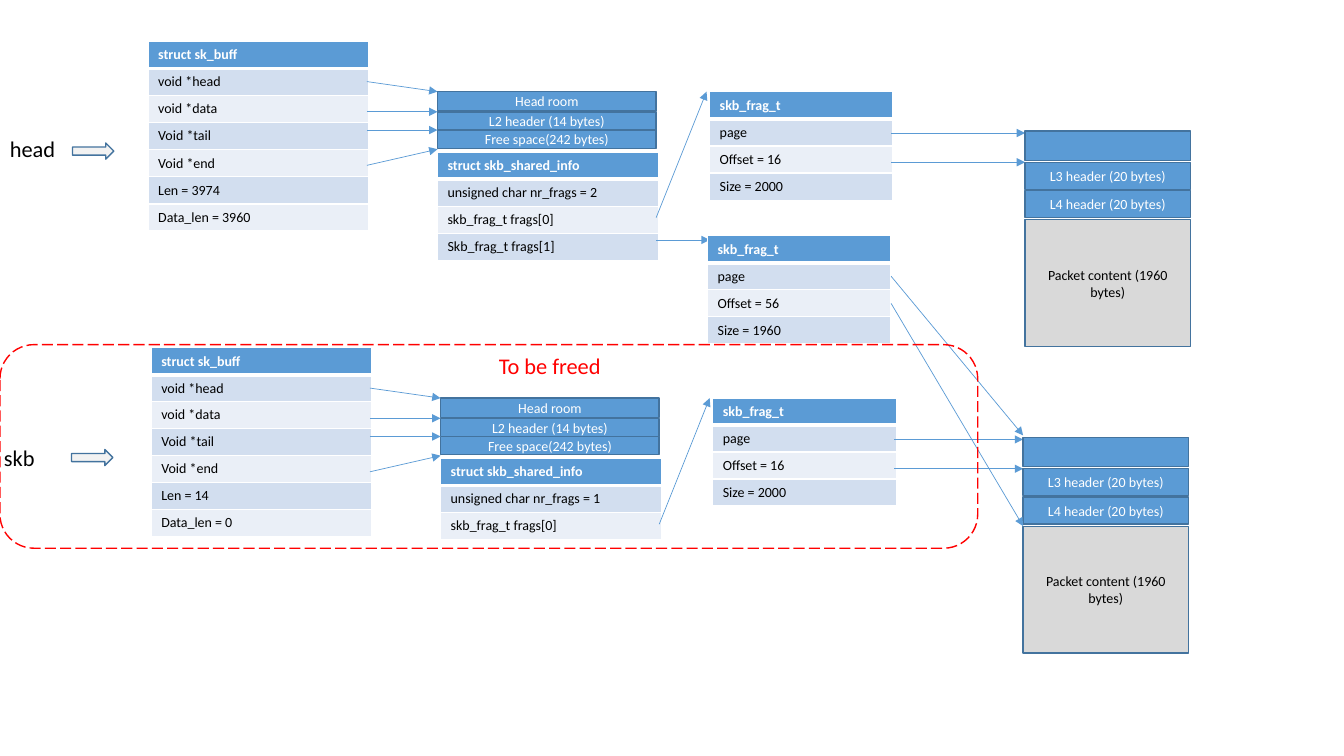
from dataclasses import dataclass
from typing import Any

import pptx
import pptx.dml.color
import pptx.enum.dml
import pptx.enum.shapes
import pptx.enum.text
import pptx.oxml
import pptx.oxml.ns
import pptx.util
from pptx.util import Pt

BLUE, OUTLINE, WHITE, BLACK, RED = "5B9BD5", "43739E", "FFFFFF", "000000", "FF0000"
BANDS = ("D2DEEF", "EAEFF7")
ROW_HEIGHT = 19.2
SHAPES = pptx.enum.shapes.MSO_SHAPE
ALIGN = pptx.enum.text.PP_ALIGN
ANCHOR = pptx.enum.text.MSO_ANCHOR


@dataclass
class Struct:
    left: float
    top: float
    width: float
    rows: list[str]


@dataclass
class Block:
    left: float
    top: float
    width: float
    height: float
    text: str
    fill: str = BLUE
    color: str = WHITE


@dataclass
class Arrow:
    x1: float
    y1: float
    x2: float
    y2: float


@dataclass
class Chain:
    """One packet: its buffer, fragments and memory page, moved as a group."""
    label: str
    label_left: float
    label_top: float
    pointer_left: float
    pointer_top: float
    dx: float
    dy: float
    page_left: float
    length: int
    data_length: int
    fragments: list[str]


CHAINS = [
    Chain("head", 0, 92.9, 51.8, 102.2, 0, 0, 732.2, 3974, 3960,
          ["skb_frag_t frags[0]", "Skb_frag_t frags[1]"]),
    Chain("skb", -4.3, 313.9, 51.1, 321.1, 2.2, 218.9, 730.8, 14, 0,
          ["skb_frag_t frags[0]"]),
]


def rgb(value: str) -> pptx.dml.color.RGBColor:
    return pptx.dml.color.RGBColor.from_string(value)


def apply_format(target: Any, values: dict[str, Any]) -> None:
    for name, value in values.items():
        setattr(target, name, value)


def write(frame: Any, text: str, size: float, color: str, bold: bool = False) -> None:
    paragraph = frame.paragraphs[0]
    run = paragraph.add_run()
    run.text = text
    apply_format(run.font, {"name": "Calibri", "size": Pt(size), "bold": bold})
    run.font.color.rgb = rgb(color)


def set_borders(cell: Any, bottom: float) -> None:
    properties = cell._tc.get_or_add_tcPr()
    for index, (side, width) in enumerate(
            {"lnL": 1, "lnR": 1, "lnT": 1, "lnB": bottom}.items()):
        properties.insert(index, pptx.oxml.parse_xml(
            f'<a:{side} {pptx.oxml.ns.nsdecls("a")} w="{Pt(width)}"><a:solidFill>'
            f'<a:srgbClr val="{WHITE}"/></a:solidFill></a:{side}>'))


def draw_struct(slide: Any, struct: Struct) -> None:
    count = len(struct.rows)
    table = slide.shapes.add_table(count, 1, Pt(struct.left), Pt(struct.top),
                                   Pt(struct.width), Pt(ROW_HEIGHT * count)).table
    for index, text in enumerate(struct.rows):
        header = index == 0
        cell = table.cell(index, 0)
        cell.fill.solid()
        cell.fill.fore_color.rgb = rgb(BLUE if header else BANDS[(index - 1) % 2])
        set_borders(cell, 3 if header else 1)
        write(cell.text_frame, text, 10, WHITE if header else BLACK, header)


def draw_block(slide: Any, block: Block, kind: Any = SHAPES.RECTANGLE) -> None:
    shape = slide.shapes.add_shape(kind, Pt(block.left), Pt(block.top),
                                   Pt(block.width), Pt(block.height))
    shape.shadow.inherit = False
    shape.fill.solid()
    shape.fill.fore_color.rgb = rgb(block.fill)
    shape.line.color.rgb = rgb(OUTLINE)
    shape.line.width = Pt(1)
    if block.text:
        frame = shape.text_frame
        apply_format(frame, {"word_wrap": True, "vertical_anchor": ANCHOR.MIDDLE})
        frame.paragraphs[0].alignment = ALIGN.CENTER
        write(frame, block.text, 10, block.color)


def draw_arrow(slide: Any, arrow: Arrow) -> None:
    connector = slide.shapes.add_connector(
        pptx.enum.shapes.MSO_CONNECTOR.STRAIGHT,
        Pt(arrow.x1), Pt(arrow.y1), Pt(arrow.x2), Pt(arrow.y2))
    connector.line.color.rgb = rgb(BLUE)
    connector.line.width = Pt(0.5)
    namespace = pptx.oxml.ns.nsdecls("a")
    connector.line._get_or_add_ln().append(
        pptx.oxml.parse_xml(f'<a:tailEnd {namespace} type="triangle"/>'))
    connector._element.spPr.append(pptx.oxml.parse_xml(f"<a:effectLst {namespace}/>"))


def draw_label(slide: Any, text: str, left: float, top: float, width: float,
               color: str = BLACK, wrap: bool = True) -> None:
    box = slide.shapes.add_textbox(Pt(left), Pt(top), Pt(width), Pt(26.6))
    box.text_frame.word_wrap = wrap
    write(box.text_frame, text, 16, color)


def draw_chain(slide: Any, chain: Chain) -> None:
    dx, dy, page = chain.dx, chain.dy, chain.page_left
    # Structures
    for struct in (
        Struct(105.8, 29.5, 157.7, [
            "struct sk_buff", "void *head", "void *data", "Void *tail", "Void *end",
            f"Len = {chain.length}", f"Data_len = {chain.data_length}"]),
        Struct(312.5, 108.7, 157.7, [
            "struct skb_shared_info",
            f"unsigned char nr_frags = {len(chain.fragments)}", *chain.fragments]),
        Struct(506.9, 65.5, 131, ["skb_frag_t", "page", "Offset = 16", "Size = 2000"]),
    ):
        draw_struct(slide, Struct(struct.left + dx, struct.top + dy,
                                  struct.width, struct.rows))
    # Linear buffer
    for text, top, height in (("Head room", 65.5, 13.7),
                              ("Free space(242 bytes)", 92.9, 13),
                              ("L2 header (14 bytes)", 79.9, 13)):
        draw_block(slide, Block(312.5 + dx, top + dy, 156.2, height, text))
    # Pointers into the buffer, the fragment and the page
    for start, end in ((58.3, 65.5), (79.9, 79.9), (92.9, 92.9), (118.1, 106.6)):
        draw_arrow(slide, Arrow(262.1 + dx, start + dy, 312.5 + dx, end + dy))
    draw_arrow(slide, Arrow(468.7 + dx, 155.5 + dy, 504.7 + dx, 65.5 + dy))
    for y in (95, 115.9):
        draw_arrow(slide, Arrow(636.5 + dx, y + dy, page, y + dy))
    # Memory page
    for text, top, height, fill, color in (
        ("Packet content (1960 bytes)", 157, 90.7, "D9D9D9", BLACK),
        ("", 93.6, 20.9, BLUE, WHITE),
        ("L3 header (20 bytes)", 115.9, 19.4, BLUE, WHITE),
        ("L4 header (20 bytes)", 136.1, 19.4, BLUE, WHITE),
    ):
        draw_block(slide, Block(page, top + dy, 118.1, height, text, fill, color))
    # List pointer
    draw_label(slide, chain.label, chain.label_left, chain.label_top, 56.2)
    draw_block(slide, Block(chain.pointer_left, chain.pointer_top, 29.5, 11.5, "",
                            "F2F2F2"), SHAPES.RIGHT_ARROW)


def draw_freed_area(slide: Any) -> None:
    area = slide.shapes.add_shape(SHAPES.ROUNDED_RECTANGLE, Pt(0), Pt(246.2),
                                  Pt(698.4), Pt(145.4))
    area.shadow.inherit = False
    area.fill.background()
    area.line.color.rgb = rgb(RED)
    apply_format(area.line, {"width": Pt(1),
                             "dash_style": pptx.enum.dml.MSO_LINE.LONG_DASH})
    draw_label(slide, "To be freed", 349.2, 247.7, 88.6, RED, False)


def main() -> None:
    presentation = pptx.Presentation()
    apply_format(presentation, {"slide_width": Pt(960), "slide_height": Pt(540)})
    slide = presentation.slides.add_slide(presentation.slide_layouts[6])
    for chain in CHAINS:
        draw_chain(slide, chain)
    # Second fragment, stored in the lower page
    draw_arrow(slide, Arrow(468.7, 171.4, 506.9, 171.4))
    draw_struct(slide, Struct(505.4, 168.5, 131,
                              ["skb_frag_t", "page", "Offset = 56", "Size = 1960"]))
    for start, end in ((197.3, 311), (216.7, 375.8)):
        draw_arrow(slide, Arrow(636.5, start, 730.8, end))
    draw_freed_area(slide)
    presentation.save("out.pptx")


if __name__ == "__main__":
    main()
